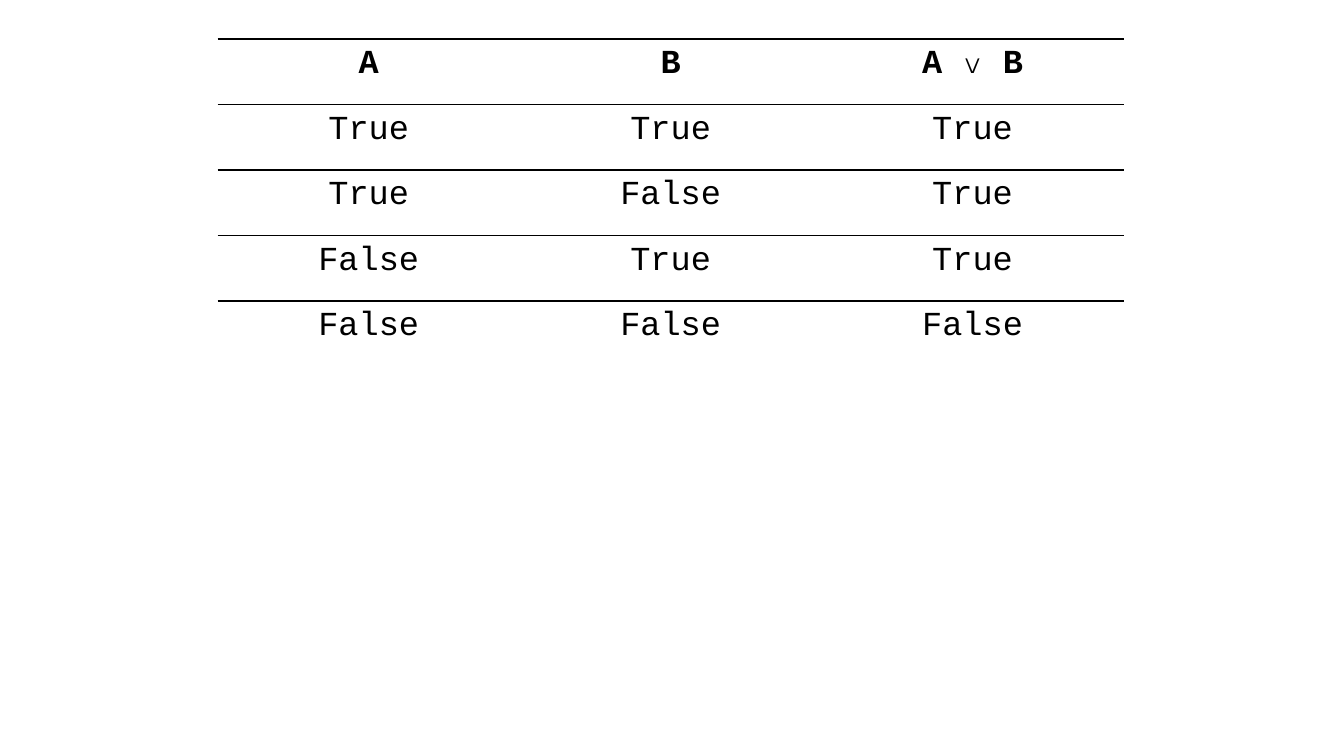
from itertools import product

from lxml import etree
from pptx import Presentation
from pptx.dml.color import RGBColor
from pptx.enum.text import PP_ALIGN
from pptx.oxml.ns import qn
from pptx.util import Inches, Pt

CENTER = PP_ALIGN.CENTER
BLACK = "000000"
FONT_NAME = "Courier New"
HEADERS = ["A", "B", "A ∨ B"]
TABLE_WIDTH = 6.74
TABLE_HEIGHT = 2.44


def color(hex_string):
    return RGBColor.from_string(hex_string)


def add_border(cell, side, visible):
    properties = cell._tc.get_or_add_tcPr()
    line = etree.SubElement(properties, qn(f"a:ln{side}"), w=str(Pt(1)))
    if visible:
        fill = etree.SubElement(line, qn("a:solidFill"))
        etree.SubElement(fill, qn("a:srgbClr"), val=BLACK)
    else:
        etree.SubElement(line, qn("a:noFill"))


def format_cell(cell, text, is_header, is_last):
    for side in "LRTB":
        add_border(cell, side, side == "T" or (side == "B" and not is_last))
    cell.fill.background()
    paragraph = cell.text_frame.paragraphs[0]
    paragraph.alignment = CENTER
    run = paragraph.add_run()
    run.text = text
    run.font.name = FONT_NAME
    run.font.size = Pt(18)
    run.font.bold = is_header
    run.font.color.rgb = color(BLACK)


def add_truth_table(slide, rows):
    shape = slide.shapes.add_table(
        len(rows), len(HEADERS), Inches(1.62), Inches(0.29),
        Inches(TABLE_WIDTH), Inches(TABLE_HEIGHT))
    table = shape.table
    table.first_row = False
    table.horz_banding = False
    for row_index, values in enumerate(rows):
        for column_index, text in enumerate(values):
            format_cell(table.cell(row_index, column_index), text,
                        row_index == 0, row_index == len(rows) - 1)


def main():
    presentation = Presentation()
    presentation.slide_width = Inches(10)
    presentation.slide_height = presentation.slide_width * 9 // 16
    slide = presentation.slides.add_slide(presentation.slide_layouts[6])
    rows = [HEADERS]
    for a, b in product([True, False], repeat=2):
        rows.append([str(a), str(b), str(a or b)])
    add_truth_table(slide, rows)
    presentation.save("out.pptx")


if __name__ == "__main__":
    main()
